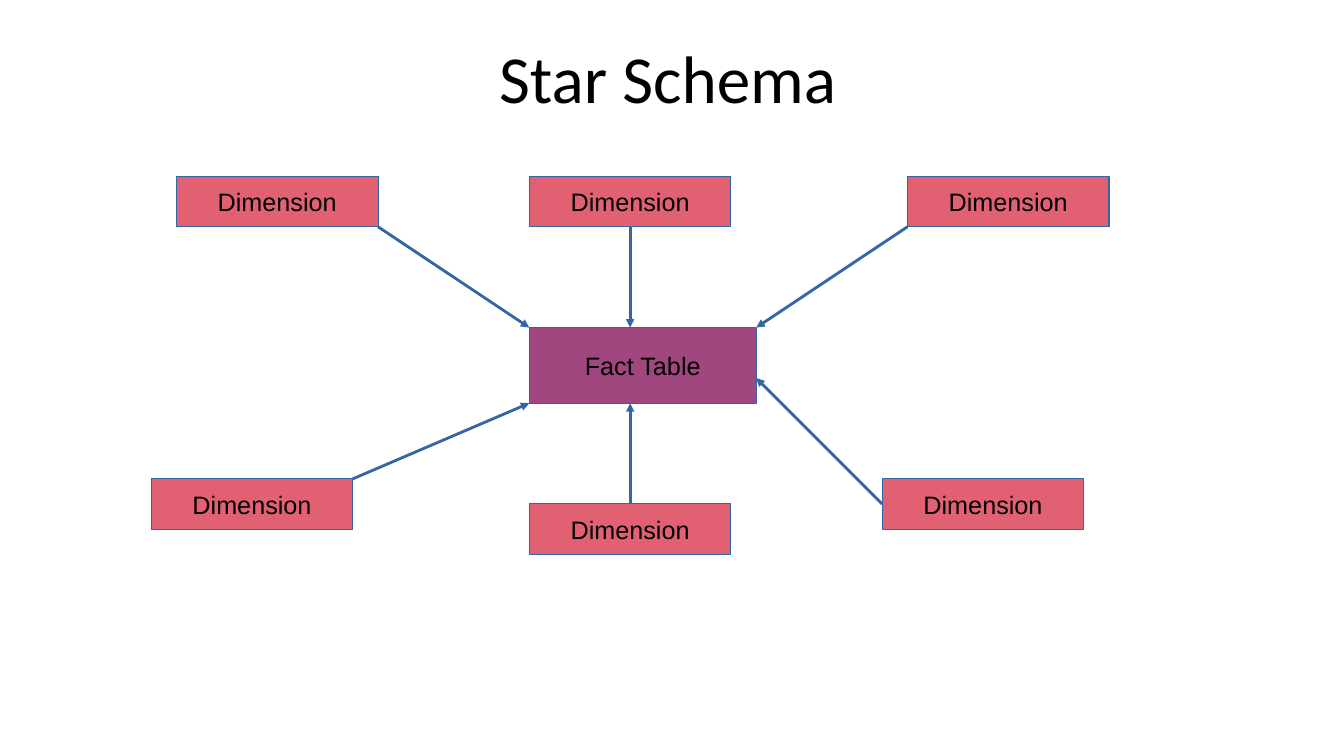
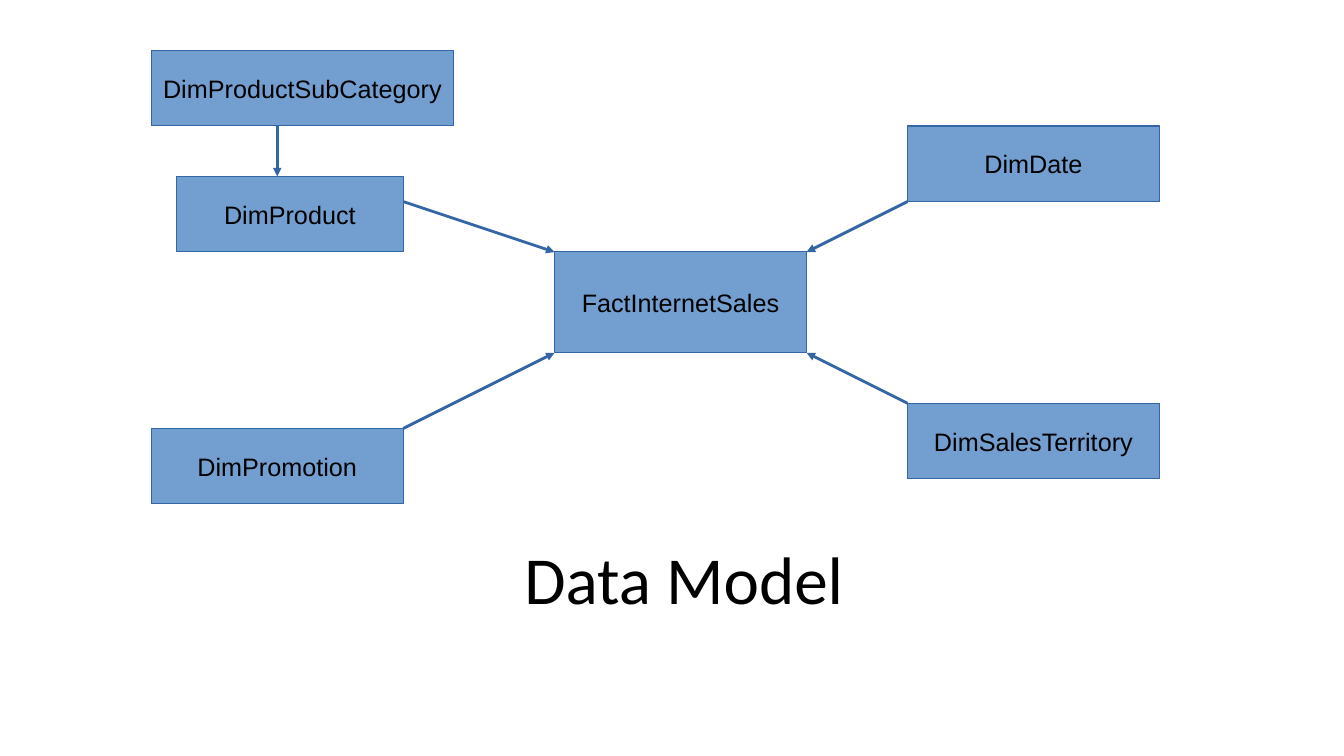
from pptx import Presentation
from pptx.dml.color import RGBColor
from pptx.enum.shapes import MSO_CONNECTOR, MSO_SHAPE
from pptx.enum.text import MSO_ANCHOR, MSO_AUTO_SIZE, PP_ALIGN
from pptx.oxml.ns import qn
from pptx.util import Inches, Pt
from lxml import etree

BLACK = RGBColor(0x00, 0x00, 0x00)
LINE = RGBColor(0x34, 0x65, 0xA4)
FACT = RGBColor(0xA1, 0x46, 0x7E)
DIMENSION = RGBColor(0xE1, 0x61, 0x73)
MODEL = RGBColor(0x72, 0x9F, 0xCF)

TITLE_ONLY = 5
TITLE_HEIGHT = 0.97
TITLE_INDENT = 4.45


def add_run(paragraph, text, font_name, size):
    """Add one black run to the paragraph."""
    run = paragraph.add_run()
    run.text = text
    run.font.name = font_name
    run.font.size = Pt(size)
    run.font.color.rgb = BLACK


def add_title_slide(presentation, text, left, top, width):
    """Add a slide with an indented title in the given place."""
    slide = presentation.slides.add_slide(presentation.slide_layouts[TITLE_ONLY])
    title = slide.shapes.title
    title.left, title.top = Inches(left), Inches(top)
    title.width, title.height = Inches(width), Inches(TITLE_HEIGHT)
    frame = title.text_frame
    frame.auto_size = MSO_AUTO_SIZE.NONE
    frame.word_wrap = True
    frame.vertical_anchor = MSO_ANCHOR.MIDDLE
    frame.margin_left = Inches(TITLE_INDENT)
    frame.margin_right = frame.margin_top = frame.margin_bottom = 0
    paragraph = frame.paragraphs[0]
    paragraph.alignment = PP_ALIGN.LEFT
    add_run(paragraph, text, "Calibri", 48)
    return slide


def add_table_box(slide, text, left, top, width, height, color):
    """Add a labelled rectangle that stands for a database table."""
    shape = slide.shapes.add_shape(
        MSO_SHAPE.RECTANGLE, Inches(left), Inches(top), Inches(width), Inches(height))
    shape.shadow.inherit = False
    shape.fill.solid()
    shape.fill.fore_color.rgb = color
    shape.line.color.rgb = LINE
    shape.line.width = Pt(0)
    frame = shape.text_frame
    frame.word_wrap = False
    frame.vertical_anchor = MSO_ANCHOR.MIDDLE
    paragraph = frame.paragraphs[0]
    paragraph.alignment = PP_ALIGN.CENTER
    add_run(paragraph, text, "Arial", 18)


def add_arrow(slide, start_x, start_y, end_x, end_y):
    """Add a hairline arrow that points at its end."""
    arrow = slide.shapes.add_connector(
        MSO_CONNECTOR.STRAIGHT,
        Inches(start_x), Inches(start_y), Inches(end_x), Inches(end_y))
    arrow.line.color.rgb = LINE
    arrow.line.width = Pt(0)
    etree.SubElement(arrow.line._get_or_add_ln(), qn("a:tailEnd"), type="triangle")
    etree.SubElement(arrow._element.spPr, qn("a:effectLst"))


def add_diagram(slide, left, top, tables, arrows):
    """Draw tables and arrows, placed relative to the diagram's corner."""
    for text, x, y, width, height, color in tables:
        add_table_box(slide, text, left + x, top + y, width, height, color)
    for start_x, start_y, end_x, end_y in arrows:
        add_arrow(slide, left + start_x, top + start_y, left + end_x, top + end_y)


def build_star_schema(presentation):
    """Build the slide with a fact table amid six dimensions."""
    slide = add_title_slide(presentation, "Star Schema", 0.5, 0.28, 11.75)
    corners = [(0.25, 0), (3.75, 0), (7.5, 0), (0, 3), (3.75, 3.25), (7.25, 3)]
    tables = [("Fact Table", 3.75, 1.5, 2.25, 0.75, FACT)]
    tables += [("Dimension", x, y, 2, 0.5, DIMENSION) for x, y in corners]
    arrows = [
        (2.25, 0.5, 3.75, 1.5),
        (4.75, 0.5, 4.75, 1.5),
        (7.5, 0.5, 6, 1.5),
        (2, 3, 3.75, 2.25),
        (4.75, 3.25, 4.75, 2.25),
        (7.25, 3.25, 6, 2),
    ]
    add_diagram(slide, 1.5, 1.75, tables, arrows)


def build_data_model(presentation):
    """Build the slide with the sales tables and their links."""
    slide = add_title_slide(presentation, "Data Model", 0.75, 5.25, 9.75)
    tables = [
        ("FactInternetSales", 4, 2, 2.5, 1, MODEL),
        ("DimProductSubCategory", 0, 0, 3, 0.75, MODEL),
        ("DimProduct", 0.25, 1.25, 2.25, 0.75, MODEL),
        ("DimDate", 7.5, 0.75, 2.5, 0.75, MODEL),
        ("DimSalesTerritory", 7.5, 3.5, 2.5, 0.75, MODEL),
        ("DimPromotion", 0, 3.75, 2.5, 0.75, MODEL),
    ]
    arrows = [
        (1.25, 0.75, 1.25, 1.25),
        (2.5, 1.5, 4, 2),
        (7.5, 1.5, 6.5, 2),
        (7.5, 3.5, 6.5, 3),
        (2.5, 3.75, 4, 3),
    ]
    add_diagram(slide, 1.5, 0.5, tables, arrows)


presentation = Presentation()
presentation.slide_width = Inches(13.33)
presentation.slide_height = Inches(7.5)
build_star_schema(presentation)
build_data_model(presentation)
presentation.save("out.pptx")
